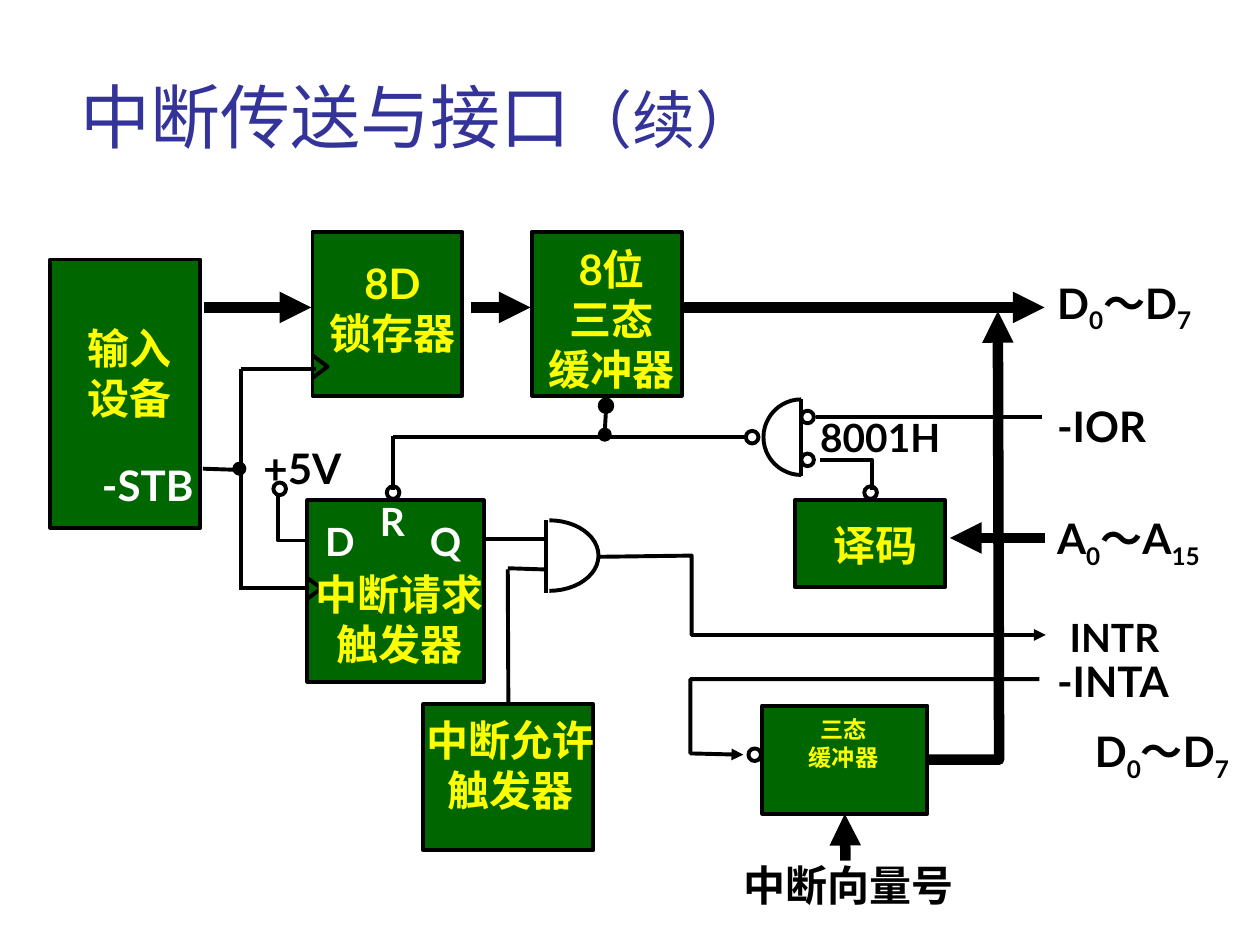
from math import cos, pi, sin

from lxml.etree import SubElement
from pptx import Presentation
from pptx.dml.color import RGBColor
from pptx.enum.shapes import MSO_CONNECTOR as CONN, MSO_SHAPE as SHAPE
from pptx.enum.text import MSO_ANCHOR as ANCHOR, PP_ALIGN as ALIGN
from pptx.oxml.ns import qn
from pptx.util import Inches, Pt

BLACK, WHITE, GREEN, YELLOW, BLUE = "000000", "FFFFFF", "006600", "FFFF00", "333399"
THIN, BUS = 2.25, 6
LEFT, MID, RIGHT = ALIGN.LEFT, ALIGN.CENTER, ALIGN.RIGHT
BUS_Y, OUT_X = 2.44, 8.38

# Blocks: name -> left, top, width, height
BLOCKS = {
    "vector buffer": (6.05, 5.6, 1.31, 0.86),
    "latch": (2.48, 1.84, 1.19, 1.3),
    "data buffer": (4.22, 1.84, 1.19, 1.3),
    "decoder": (6.31, 3.97, 1.19, 0.69),
    "request": (2.44, 3.97, 1.4, 1.44),
    "input": (0.4, 2.06, 1.19, 2.13),
    "enable": (3.36, 5.59, 1.35, 1.16),
}

# Labels: lines, box, size, colour, alignment; parts between bars are subscripts
LABELS = [
    (["三态", "缓冲器"], (5.98, 5.67, 1.43, 0.47), 13.2, YELLOW, MID),
    (["8D", "锁存器"], (2.4, 2.03, 1.43, 0.91), 24, YELLOW, MID),
    (["8位", "三态", "缓冲器"], (4.14, 1.92, 1.43, 1.3), 24, YELLOW, MID),
    (["译码"], (6.23, 4.11, 1.43, 0.48), 24, YELLOW, MID),
    (["输入", "设备"], (0.31, 2.55, 1.43, 1.08), 24, YELLOW, MID),
    (["中断允许", "触发器"], (3.26, 5.66, 1.58, 0.92), 24, YELLOW, MID),
    (["中断请求", "触发器"], (2.41, 4.5, 1.53, 0.9), 24, YELLOW, MID),
    (["-STB"], (0.8, 3.64, 1.04, 0.48), 24, WHITE, LEFT),
    (["D"], (2.57, 4.1, 0.58, 0.4), 22.2, WHITE, LEFT),
    (["R"], (2.91, 3.94, 0.41, 0.4), 22.2, WHITE, MID),
    (["Q"], (3.09, 4.1, 0.58, 0.4), 22.2, WHITE, RIGHT),
    (["+5V"], (1.96, 3.5, 0.88, 0.48), 24, BLACK, MID),
    (["8001H"], (6.5, 3.27, 1.27, 0.4), 22.2, BLACK, LEFT),
    (["中断向量号"], (5.72, 6.81, 2.03, 0.53), 24, BLACK, MID),
    (["D|0|～D|7"], (OUT_X, 2.19, 1.27, 0.55), 24, BLACK, LEFT),
    (["-IOR"], (OUT_X, 3.17, 1.04, 0.48), 24, BLACK, LEFT),
    (["A|0|～A|15"], (OUT_X, 4.06, 1.46, 0.66), 24, BLACK, LEFT),
    (["INTR"], (8.33, 4.86, 1.03, 0.4), 22.2, BLACK, MID),
    (["-INTA"], (OUT_X, 5.19, 1.04, 0.48), 24, BLACK, LEFT),
    (["D|0|～D|7"], (8.68, 5.75, 1.27, 0.59), 24, BLACK, LEFT),
]

# Straight lines: start, end, width, arrow
LINES = [
    ((4.03, 4.51), (4.33, 4.52), THIN, False),   # enable into AND gate
    ((3.12, 3.47), (5.94, 3.47), THIN, False),   # read gate output
    ((4.8, 3.42), (4.81, 3.25), THIN, False),    # data buffer enable
    ((3.12, 3.46), (3.12, 3.89), THIN, False),   # reset
    ((6.48, 3.31), (8.27, 3.31), THIN, False),   # -IOR
    ((1.9, 4.67), (2.43, 4.67), THIN, False),    # strobe to request
    ((1.91, 2.93), (1.91, 4.68), THIN, False),
    ((1.91, 2.93), (2.51, 2.93), THIN, False),   # strobe to latch
    ((1.61, 3.72), (1.91, 3.73), THIN, False),
    ((3.83, 4.28), (4.35, 4.28), THIN, False),   # Q into AND gate
    ((4.33, 4.13), (4.33, 4.71), THIN, False),   # gate backs
    ((6.36, 3.17), (6.36, 3.78), THIN, False),
    ((1.62, BUS_Y), (2.47, BUS_Y), BUS, True),
    ((3.74, BUS_Y), (4.21, BUS_Y), BUS, True),
    ((5.43, BUS_Y), (8.29, BUS_Y), BUS, True),
    ((8.29, 4.27), (7.54, 4.27), BUS, True),     # address bus
]
# Lines joined to a block: start, end, width, arrow, block, site, joined end
JOINED = [
    ((4.03, 5.59), (4.03, 4.52), THIN, False, "enable", 0, "begin"),
    ((6.71, 6.83), (6.71, 6.48), BUS, True, "vector buffer", 2, "end"),
]


def arc(cx, cy, rx, ry, steps=24):
    """Half ellipse from top to bottom; a negative rx bulges to the left."""
    angles = [pi * i / steps - pi / 2 for i in range(steps + 1)]
    return [(cx + rx * cos(a), cy + ry * sin(a)) for a in angles]


def notch(x, y):
    return [(x, y - 0.09), (x + 0.12, y), (x, y + 0.09)]


# Bent lines: points, width, arrow
BENT = [
    ([(4.74, 4.42), (5.49, 4.41), (5.49, 5.04), (8.3, 5.04)], THIN, True),
    ([(8.25, 5.39), (5.48, 5.39), (5.48, 5.98), (5.9, 5.99)], THIN, True),
    ([(6.51, 3.65), (6.92, 3.65), (6.92, 3.89)], THIN, False),
    ([(2.21, 3.91), (2.21, 4.29), (2.43, 4.29)], THIN, False),
    ([(7.37, 6.03), (7.93, 6.03), (7.92, 2.47)], BUS, True),
    (notch(2.43, 4.67), THIN, False),
    (notch(2.48, 2.91), THIN, False),
    (arc(4.36, 4.41, 0.39, 0.28), THIN, False),
    (arc(6.36, 3.47, -0.3, 0.3), THIN, False),
]

# Circles: left, top, diameter, filled
CIRCLES = [(x, y, 0.1, False) for x, y in [
    (5.94, 5.94), (6.86, 3.86), (3.07, 3.86), (5.92, 3.42),
    (6.36, 3.26), (6.36, 3.6), (2.17, 3.83)]]
CIRCLES += [(4.76, 3.17, 0.1, True), (4.76, 3.41, 0.08, True), (1.86, 3.68, 0.08, True)]

prs = Presentation()
prs.slide_width, prs.slide_height = Inches(10), Inches(7.5)
shapes = prs.slides.add_slide(prs.slide_layouts[6]).shapes


def rgb(value):
    return RGBColor.from_string(value)


def inches(values):
    return [Inches(v) for v in values]


def stroke(s, width, arrow=False):
    s.line.color.rgb = rgb(BLACK)
    s.line.width = Pt(width)
    if arrow:
        SubElement(s.line._get_or_add_ln(), qn("a:tailEnd"), type="triangle")


def add_preset(kind, box, fill=None):
    s = shapes.add_shape(kind, *inches(box))
    s.shadow.inherit = False
    if fill:
        s.fill.solid()
        s.fill.fore_color.rgb = rgb(fill)
    else:
        s.fill.background()
    stroke(s, THIN)
    return s


def add_line(start, end, width, arrow):
    s = shapes.add_connector(CONN.STRAIGHT, *inches(start + end))
    stroke(s, width, arrow)
    SubElement(s._element.spPr, qn("a:effectLst"))
    return s


def add_bent(points, width, arrow):
    start, *rest = [inches(pt) for pt in points]
    fb = shapes.build_freeform(*start, scale=1.0)
    fb.add_line_segments(rest, close=False)
    s = fb.convert_to_shape()
    s.shadow.inherit = False
    s.fill.background()
    stroke(s, width, arrow)


def add_text(box, inset, anchor=ANCHOR.TOP):
    tf = shapes.add_textbox(*inches(box)).text_frame
    margins = {f"margin_{side}": Inches(inset) for side in ("left", "right", "top", "bottom")}
    for name, value in {"word_wrap": True, "vertical_anchor": anchor, **margins}.items():
        setattr(tf, name, value)
    return tf


def add_run(p, text, size, colour, bold):
    r = p.add_run()
    r.text = text
    for name, value in {"name": "Lato", "size": Pt(size), "bold": bold}.items():
        setattr(r.font, name, value)
    r.font.color.rgb = rgb(colour)
    return r


# Title
p = add_text((0.54, 0.1, 8.52, 1.25), 0.1, ANCHOR.BOTTOM).paragraphs[0]
for text, size in [("中断传送与接口", 40), ("（续）", 36)]:
    add_run(p, text, size, BLUE, False)

# Blocks, wires and circles
blocks = {name: add_preset(SHAPE.RECTANGLE, box, GREEN) for name, box in BLOCKS.items()}
for line in LINES:
    add_line(*line)
for *line, block, site, joined in JOINED:
    s = add_line(*line)
    join = s.begin_connect if joined == "begin" else s.end_connect
    join(blocks[block], site)
for bent in BENT:
    add_bent(*bent)
for x, y, d, filled in CIRCLES:
    add_preset(SHAPE.OVAL, (x, y, d, d), BLACK if filled else None)

# Labels
for lines, box, size, colour, align in LABELS:
    tf = add_text(box, 0.01)
    for i, text in enumerate(lines):
        p = tf.add_paragraph() if i else tf.paragraphs[0]
        p.alignment = align
        for j, part in enumerate(text.split("|")):
            r = add_run(p, part, size, colour, True)
            if j % 2:
                r._r.get_or_add_rPr().set("baseline", "-25000")

prs.save("out.pptx")
